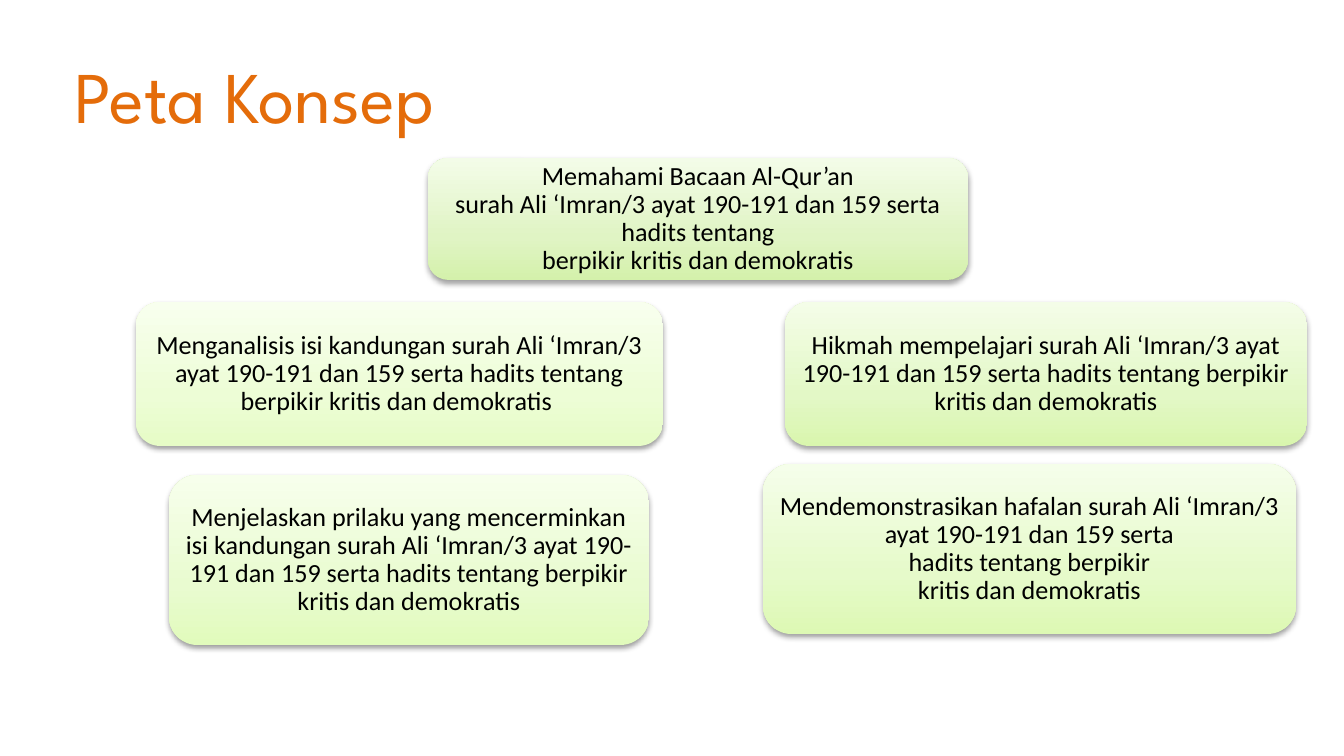
"""Build the "Peta Konsep" concept map slide."""
from lxml import etree
from pptx import Presentation
from pptx.dml.color import RGBColor
from pptx.enum.shapes import MSO_SHAPE as Shape
from pptx.enum.text import MSO_ANCHOR as Anchor, PP_ALIGN as Align
from pptx.oxml.ns import qn
from pptx.util import Pt

TITLE = "Peta Konsep "
TITLE_AREA = (23, 31, 481, 126)
CARDS = [
    ("Memahami Bacaan Al-Qur’an\nsurah Ali ‘Imran/3 ayat 190-191 dan 159 serta hadits tentang\n"
     "berpikir kritis dan demokratis",
     (428, 158, 540, 122), ("D4F1AB", "E0F4C4", "F3FCE8")),
    ("Hikmah mempelajari surah Ali ‘Imran/3 ayat 190-191 dan 159 serta hadits tentang "
     "berpikir kritis dan demokratis",
     (785, 302, 522, 144), ("D9F6AE", "E3F8C6", "F4FDE8")),
    ("Mendemonstrasikan hafalan surah Ali ‘Imran/3 ayat 190-191 dan 159 serta\n"
     "hadits tentang berpikir\nkritis dan demokratis",
     (763, 464, 533, 170), ("DDF9B4", "E6FACA", "F5FEEA")),
    ("Menjelaskan prilaku yang mencerminkan isi kandungan surah Ali ‘Imran/3 ayat 190-191 "
     "dan 159 serta hadits tentang berpikir kritis dan demokratis",
     (169, 475, 480, 170), ("E1FBBC", "E9FBD0", "F7FFEC")),
    ("Menganalisis isi kandungan surah Ali ‘Imran/3 ayat 190-191 dan 159 serta hadits tentang "
     "berpikir kritis dan demokratis ",
     (136, 302, 527, 144), ("E6FCC6", "EDFDD6", "F8FFEE")),
]
STOPS = (0, 35, 100)
INSET = 8
SCALE = 914400 / 134.4


def px(length):
    return round(length * SCALE)


def style_font(font, name, size, color):
    font.name, font.size = name, Pt(size)
    font.color.rgb = RGBColor.from_string(color)


def add_node(parent, tag, **attributes):
    node = etree.SubElement(parent, qn(tag))
    for key, value in attributes.items():
        node.set(key, str(value))
    return node


def add_color(parent, color):
    return add_node(parent, "a:srgbClr", val=color)


def shade(box, colors):
    box.fill.gradient()
    box.fill.gradient_angle = 270
    gradient = box.fill._xPr.find(qn("a:gradFill"))
    stops = gradient.find(qn("a:gsLst"))
    for stop in list(stops):
        stops.remove(stop)
    for position, color in zip(STOPS, colors):
        add_color(add_node(stops, "a:gs", pos=position * 1000), color)
    gradient.find(qn("a:lin")).set("ang", str(270 * 60000))


def add_shadow(box):
    box.shadow.inherit = False
    effects = box._element.spPr.find(qn("a:effectLst"))
    shadow = add_node(effects, "a:outerShdw", blurRad=Pt(3.1), dist=Pt(1.6),
                      dir=90 * 60000, rotWithShape=0)
    add_node(add_color(shadow, "000000"), "a:alpha", val=38000)


def add_card(page, text, area, colors):
    box = page.shapes.add_shape(Shape.ROUNDED_RECTANGLE, *map(px, area))
    shade(box, colors)
    box.line.fill.background()
    add_shadow(box)
    frame = box.text_frame
    frame.word_wrap = True
    frame.vertical_anchor = Anchor.MIDDLE
    frame.margin_left = frame.margin_right = frame.margin_top = frame.margin_bottom = px(INSET)
    para = frame.paragraphs[0]
    para.text = text
    para.alignment = Align.CENTER
    para.line_spacing = 0.9
    style_font(para.font, "Calibri", 14, "000000")


deck = Presentation()
deck.slide_width, deck.slide_height = px(1344), px(756)
page = deck.slides.add_slide(deck.slide_layouts[5])

for card in CARDS:
    add_card(page, *card)

title = page.shapes.title
title.left, title.top, title.width, title.height = map(px, TITLE_AREA)
title.text_frame.text = TITLE
title.text_frame.vertical_anchor = Anchor.MIDDLE
heading = title.text_frame.paragraphs[0]
heading.alignment = Align.CENTER
style_font(heading.font, "League Spartan", 39, "E46C0A")

deck.save("out.pptx")
